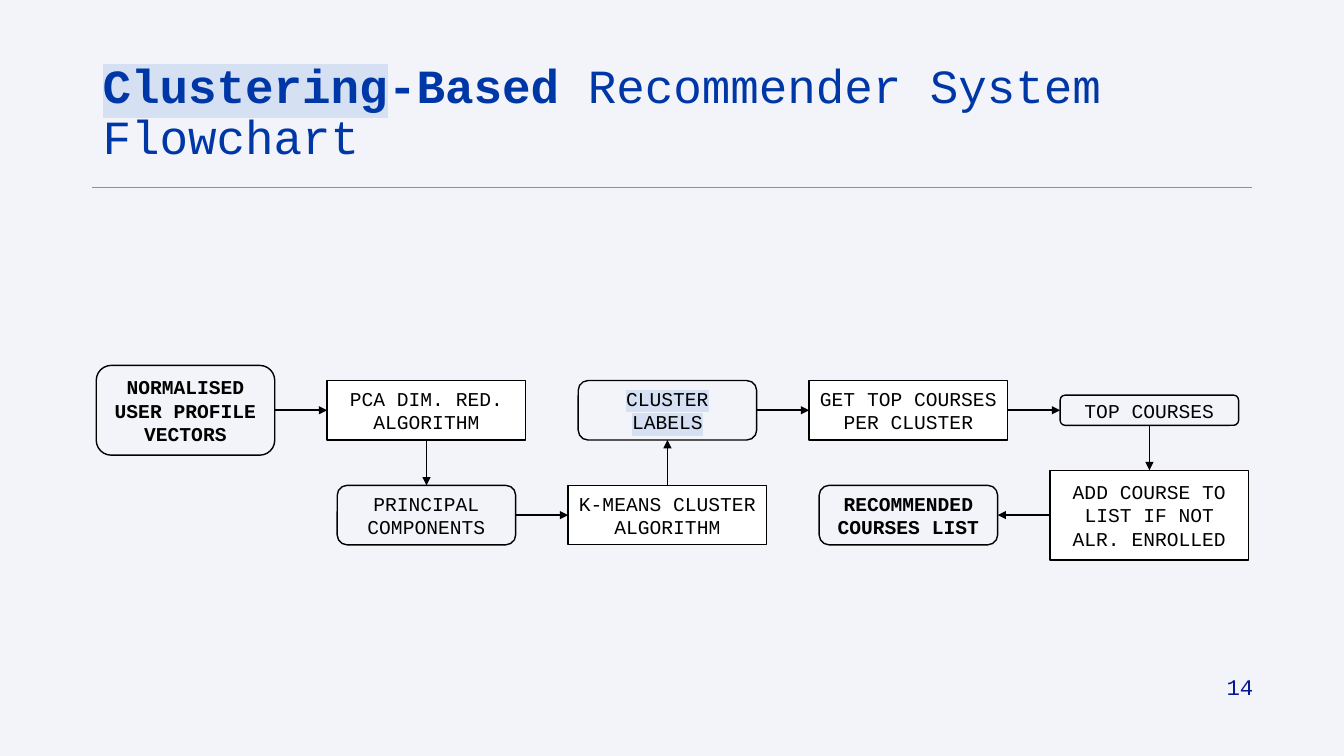
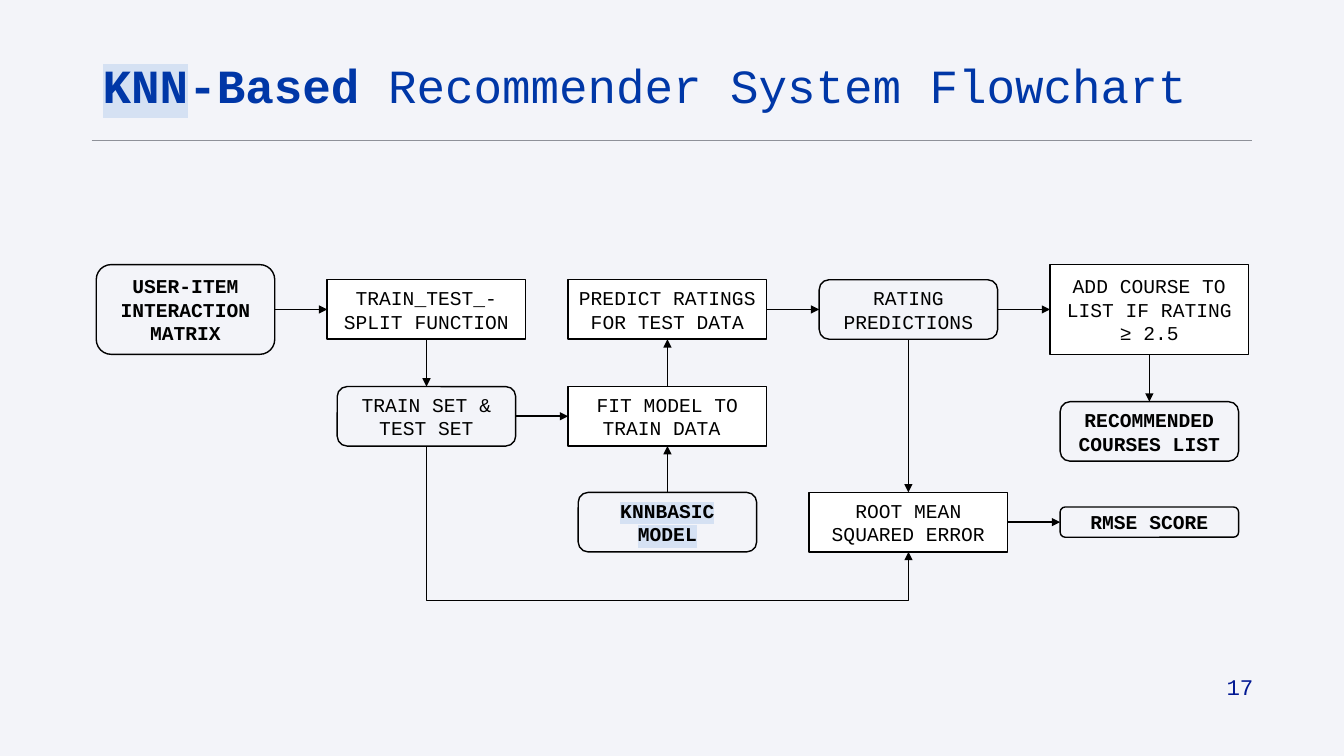
from dataclasses import dataclass

from lxml import etree
from pptx import Presentation
from pptx import util as u
from pptx.dml import color
from pptx.enum import shapes, text
from pptx.oxml import ns

HUES = {
    "ground": "F3F4F9",
    "title": "0037A7",
    "number": "011893",
    "mark": "D5E1F3",
    "rule": "8E9199",
    "ink": "000000",
    "paper": "FFFFFF",
}
FONT = "Courier New"
FIRST, STEP = 1.84, 2.39
WIDE, SLIM = 1.97, 1.77
TALL = {1: 0.3, 2: 0.59, 3: 0.89}
TOP, LEFT, LOW, RIGHT = range(4)


@dataclass(frozen=True)
class Run:
    words: str
    bold: bool = False
    mark: bool = False


@dataclass(frozen=True)
class Box:
    runs: tuple[Run, ...]
    col: int
    mid: float
    lines: int = 2
    data: bool = False

    @property
    def centre(self) -> float:
        return FIRST + STEP * self.col

    @property
    def base(self) -> float:
        return self.mid + TALL[self.lines] / 2


@dataclass(frozen=True)
class Loop:
    start: str
    end: str
    floor: float


@dataclass(frozen=True)
class Page:
    head: str
    number: int
    rule: float
    boxes: dict[str, Box]
    links: tuple[tuple[str, str], ...]
    loops: tuple[Loop, ...] = ()


def step(words: str, col: int, mid: float, lines: int = 2) -> Box:
    return Box((Run(words),), col, mid, lines)


def data(words: str, col: int, mid: float, lines: int = 2, bold: bool = False) -> Box:
    return Box((Run(words, bold),), col, mid, lines, True)


def marked(first: str, last: str, col: int, mid: float, bold: bool = False) -> Box:
    runs = (Run(first, bold, True), Run(" ", bold), Run(last, bold, True))
    return Box(runs, col, mid, data=True)


def tint(name: str) -> color.RGBColor:
    return color.RGBColor.from_string(HUES[name])


def write(shape, runs: tuple[Run, ...], *, size: float, hue: str = "ink",
          align=text.PP_ALIGN.LEFT, anchor=text.MSO_ANCHOR.MIDDLE,
          space: float = 1.0, after: float = 0) -> None:
    frame = shape.text_frame
    frame.word_wrap = True
    frame.vertical_anchor = anchor
    para = frame.paragraphs[0]
    para.alignment = align
    para.line_spacing = space
    para.space_after = u.Pt(after)
    for item in runs:
        run = para.add_run()
        run.text = item.words
        run.font.size = u.Pt(size)
        run.font.bold = item.bold
        run.font.color.rgb = tint(hue)
        if item.mark:
            props = run._r.get_or_add_rPr()
            glow = etree.SubElement(props, ns.qn("a:highlight"))
            etree.SubElement(glow, ns.qn("a:srgbClr"), val=HUES["mark"])
        run.font.name = FONT


def stroke(slide, kind, start: tuple[float, float], end: tuple[float, float],
           hue: str = "ink", width: float = 1.25, arrow: bool = True):
    line = slide.shapes.add_connector(kind, *(u.Inches(v) for v in start + end))
    line.line.color.rgb = tint(hue)
    line.line.width = u.Pt(width)
    if arrow:
        etree.SubElement(line.line._get_or_add_ln(), ns.qn("a:tailEnd"), type="triangle")
    etree.SubElement(line.element.spPr, ns.qn("a:effectLst"))
    return line


def draw(slide, box: Box):
    kinds = shapes.MSO_SHAPE
    width, height = SLIM if box.data else WIDE, TALL[box.lines]
    shape = slide.shapes.add_shape(
        kinds.ROUNDED_RECTANGLE if box.data else kinds.RECTANGLE,
        u.Inches(box.centre - width / 2), u.Inches(box.mid - height / 2),
        u.Inches(width), u.Inches(height))
    shape.shadow.inherit = False
    if box.data:
        shape.fill.background()
    else:
        shape.fill.solid()
        shape.fill.fore_color.rgb = tint("paper")
    shape.line.color.rgb = tint("ink")
    shape.line.width = u.Pt(1)
    write(shape, box.runs, size=14, align=text.PP_ALIGN.CENTER)
    return shape


def join(slide, start: Box, end: Box, tail, tip) -> None:
    if start.col == end.col:
        sides = (LOW, TOP) if start.mid < end.mid else (TOP, LOW)
    else:
        sides = (RIGHT, LEFT) if start.col < end.col else (LEFT, RIGHT)
    line = stroke(slide, shapes.MSO_CONNECTOR.STRAIGHT,
                  (start.centre, start.mid), (end.centre, end.mid))
    line.begin_connect(tail, sides[0])
    line.end_connect(tip, sides[1])


def bend(slide, start: Box, end: Box, floor: float) -> None:
    run, drop = end.centre - start.centre, end.base - start.base
    x, y = start.centre + run / 2, start.base + drop / 2
    line = stroke(slide, shapes.MSO_CONNECTOR.ELBOW,
                  (x + drop / 2, y - run / 2), (x - drop / 2, y + run / 2), width=1)
    line.element.spPr.find(ns.qn("a:xfrm")).set("rot", str(270 * 60000))
    guides = line.element.spPr.find(ns.qn("a:prstGeom")).find(ns.qn("a:avLst"))
    ratio = round((floor - start.base) / drop * 100000)
    etree.SubElement(guides, ns.qn("a:gd"), name="adj1", fmla=f"val {ratio}")


def build(deck, page: Page) -> None:
    slide = deck.slides.add_slide(deck.slide_layouts[6])
    title = slide.shapes.add_textbox(
        u.Inches(0.92), u.Inches(0.57), u.Inches(11.5), u.Inches(1.45))
    runs = (Run(page.head, True, True), Run("-Based", True),
            Run(" Recommender System Flowchart"))
    write(title, runs, size=34, hue="title", anchor=text.MSO_ANCHOR.TOP, space=0.9)
    stroke(slide, shapes.MSO_CONNECTOR.STRAIGHT, (0.91, page.rule), (12.42, page.rule),
           hue="rule", width=0.5, arrow=False)
    drawn = {key: draw(slide, box) for key, box in page.boxes.items()}
    for start, end in page.links:
        join(slide, page.boxes[start], page.boxes[end], drawn[start], drawn[end])
    for loop in page.loops:
        bend(slide, page.boxes[loop.start], page.boxes[loop.end], loop.floor)
    number = slide.shapes.add_textbox(
        u.Inches(9.53), u.Inches(6.59), u.Inches(3), u.Inches(0.44))
    write(number, (Run(str(page.number)),), size=16, hue="number",
          align=text.PP_ALIGN.RIGHT, after=6)


HIGH, DEEP = 4.07, 5.11
CLUSTER = Page(
    "Clustering", 14, 1.86,
    {
        "user": data("NORMALISED USER PROFILE VECTORS", 0, HIGH, 3, True),
        "pca": step("PCA DIM. RED. ALGORITHM", 1, HIGH),
        "parts": data("PRINCIPAL COMPONENTS", 1, DEEP),
        "means": step("K-MEANS CLUSTER ALGORITHM", 2, DEEP),
        "labels": marked("CLUSTER", "LABELS", 2, HIGH),
        "get": step("GET TOP COURSES PER CLUSTER", 3, HIGH),
        "top": data("TOP COURSES", 4, HIGH, 1),
        "add": step("ADD COURSE TO LIST IF NOT ALR. ENROLLED", 4, DEEP, 3),
        "list": data("RECOMMENDED COURSES LIST", 3, DEEP, bold=True),
    },
    (("user", "pca"), ("pca", "parts"), ("parts", "means"), ("means", "labels"),
     ("labels", "get"), ("get", "top"), ("top", "add"), ("add", "list")),
)

UPPER, MIDDLE, LOWER = 3.07, 4.13, 5.18
NEAREST = Page(
    "KNN", 17, 1.39,
    {
        "user": data("USER-ITEM INTERACTION MATRIX", 0, UPPER, 3, True),
        "split": step("TRAIN_TEST_-SPLIT FUNCTION", 1, UPPER),
        "sets": data("TRAIN SET & TEST SET", 1, MIDDLE),
        "fit": step("FIT MODEL TO TRAIN DATA ", 2, MIDDLE),
        "model": marked("KNNBASIC", "MODEL", 2, LOWER, True),
        "guess": step("PREDICT RATINGS FOR TEST DATA", 2, UPPER),
        "rates": data("RATING PREDICTIONS", 3, UPPER),
        "error": step("ROOT MEAN SQUARED ERROR", 3, LOWER),
        "score": data("RMSE SCORE", 4, LOWER, 1, True),
        "add": step("ADD COURSE TO LIST IF RATING ≥ 2.5", 4, UPPER, 3),
        "list": data("RECOMMENDED COURSES LIST", 4, 4.28, bold=True),
    },
    (("user", "split"), ("split", "sets"), ("sets", "fit"), ("model", "fit"),
     ("fit", "guess"), ("guess", "rates"), ("rates", "error"), ("error", "score"),
     ("rates", "add"), ("add", "list")),
    (Loop("sets", "error", 5.96),),
)


def main() -> None:
    deck = Presentation()
    deck.slide_width, deck.slide_height = u.Inches(13.33), u.Inches(7.5)
    ground = deck.slide_master.background.fill
    ground.solid()
    ground.fore_color.rgb = tint("ground")
    for page in (CLUSTER, NEAREST):
        build(deck, page)
    deck.save("out.pptx")


if __name__ == "__main__":
    main()
